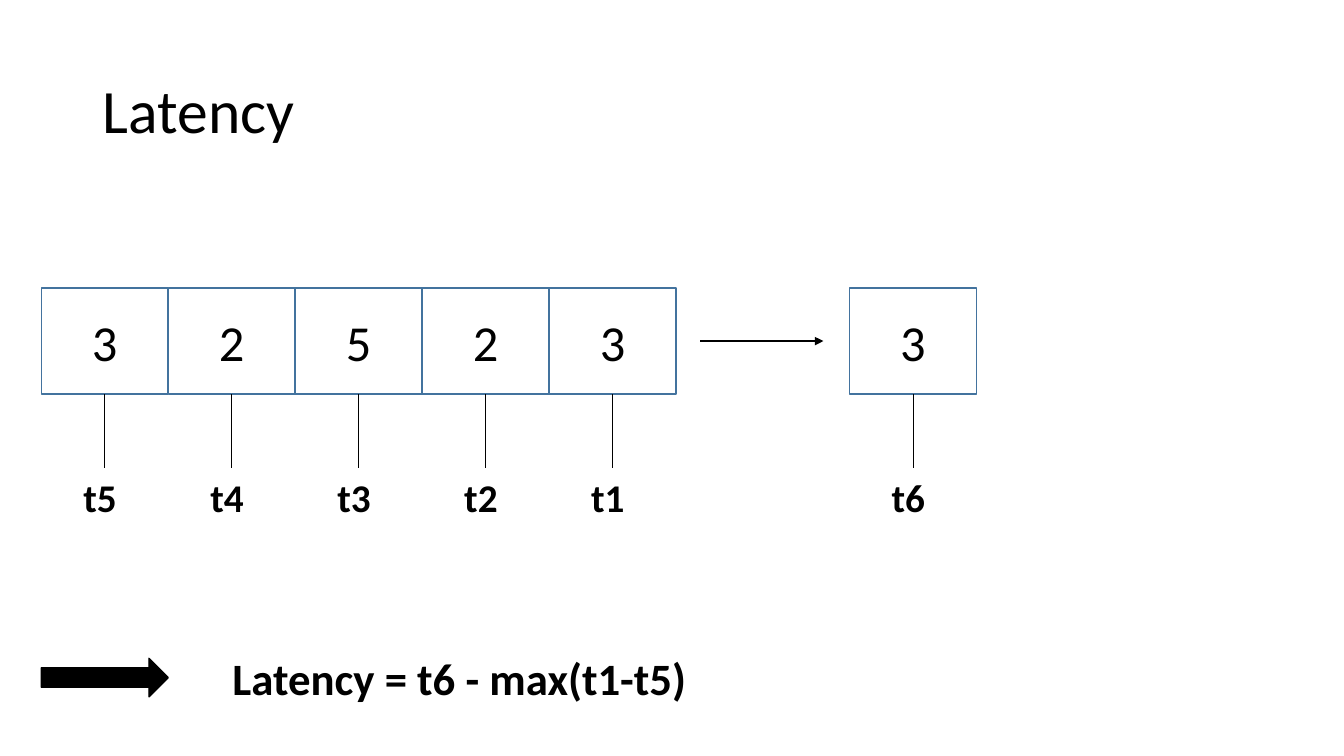
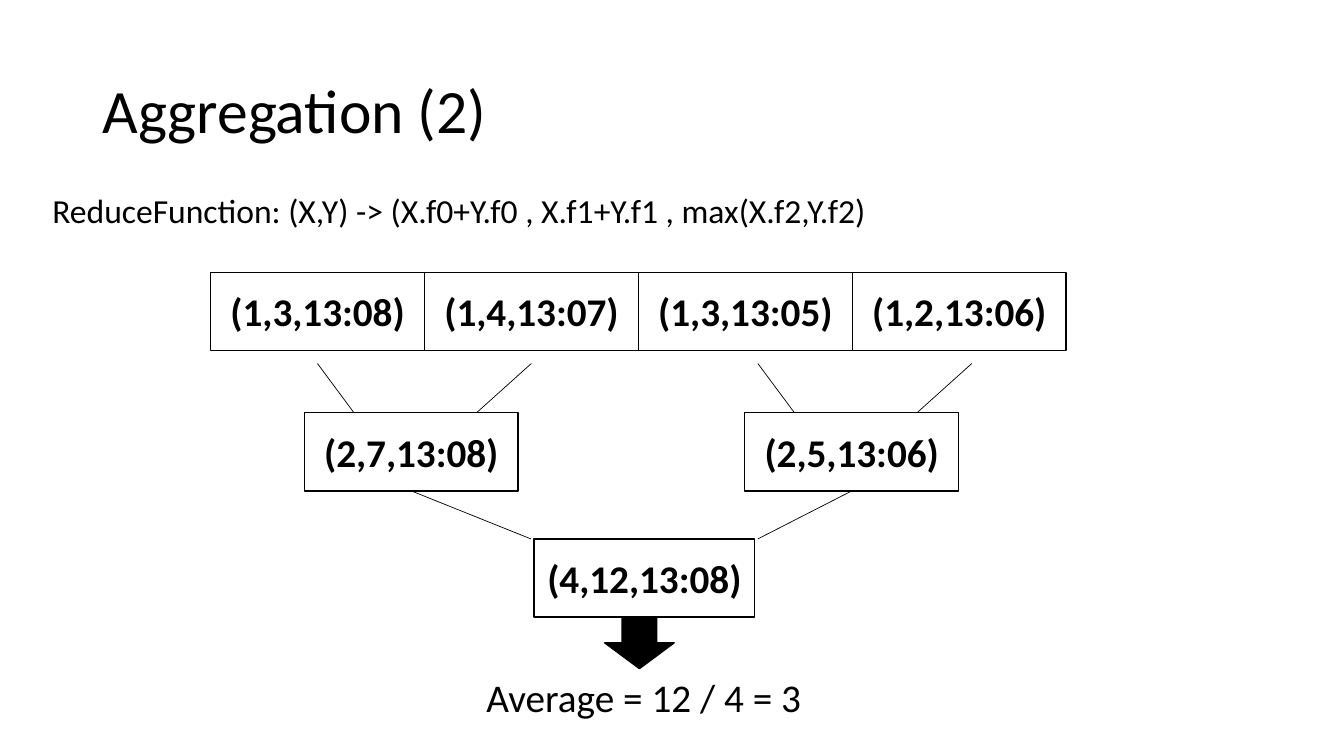
from lxml.etree import SubElement as Sub
from pptx import Presentation
from pptx.dml.color import RGBColor as Rgb
from pptx.enum.shapes import MSO_CONNECTOR as Conn, MSO_SHAPE as Kind
from pptx.enum.text import MSO_ANCHOR as Anchor, PP_ALIGN as Align
from pptx.oxml.ns import qn
from pptx.util import Cm, Pt

INK = "000000"
EDGE = "43739E"
FONT = "Calibri"
TITLE = (2.34, 1.02, 29.21, 3.68)
TOP, LEFT, BOTTOM = 0, 1, 2


def tint(code):
    """Turn a hex string into a colour."""
    return Rgb.from_string(code)


def style(item, **looks):
    """Set each named attribute of an object."""
    for name, value in looks.items():
        setattr(item, name, value)


def write(shape, text, size, bold=False, align=Align.LEFT, anchor=Anchor.TOP, wrap=True, space=1.0):
    """Put one formatted paragraph into a shape."""
    frame = shape.text_frame
    style(frame, word_wrap=wrap, vertical_anchor=anchor)
    para = frame.paragraphs[0]
    style(para, alignment=align, line_spacing=space)
    run = para.add_run()
    run.text = text
    style(run.font, name=FONT, size=Pt(size), bold=bold)
    run.font.color.rgb = tint(INK)


def label(slide, box, text, size, **looks):
    """Add a text box."""
    write(slide.shapes.add_textbox(*map(Cm, box)), text, size, **looks)


def shape(slide, kind, box, edge=INK, fill=None):
    """Add a preset shape with a thin outline."""
    item = slide.shapes.add_shape(kind, *map(Cm, box))
    item.shadow.inherit = False
    if fill:
        item.fill.solid()
        item.fill.fore_color.rgb = tint(fill)
    else:
        item.fill.background()
    item.line.width = Pt(1)
    item.line.color.rgb = tint(edge)
    return item


def cell(slide, box, text, size, edge=INK, bold=False):
    """Add an outlined box with centred text."""
    item = shape(slide, Kind.RECTANGLE, box, edge)
    write(item, text, size, bold, Align.CENTER, Anchor.MIDDLE, wrap=False)
    return item


def link(slide, start, end, width=0.5, head=False, source=None):
    """Draw a straight line, joined to the source's bottom if given."""
    line = slide.shapes.add_connector(Conn.STRAIGHT, *map(Cm, start + end))
    line.line.width = Pt(width)
    line.line.color.rgb = tint(INK)
    if head:
        Sub(line.line._get_or_add_ln(), qn("a:tailEnd"), type="triangle")
    Sub(line._element.spPr, qn("a:effectLst"))
    if source is not None:
        line.begin_connect(source, BOTTOM)


def page(deck, title):
    """Add a blank slide with its title."""
    slide = deck.slides.add_slide(deck.slide_layouts[6])
    label(slide, TITLE, title, 44, anchor=Anchor.MIDDLE, space=0.9)
    return slide


def event(slide, box, value, time):
    """Draw a value box with a stem down to its time."""
    left, top, width, height = box
    mid, low, foot = left + width / 2, top + height, top + 4.53
    item = cell(slide, box, value, 36, EDGE)
    link(slide, (mid, low), (mid, foot), source=item)
    label(slide, (mid - 0.79, foot, 1.57, 1.45), time, 28, bold=True)


def latency(deck):
    """Build the slide on latency."""
    slide = page(deck, "Latency")
    left, top, width, height = 1.04, 7.26, 3.2, 2.67
    for col, value in enumerate("32523"):
        event(slide, (left + col * width, top, width, height), value, f"t{5 - col}")
    event(slide, (21.41, top, width, height), "3", "t6")
    mid = top + height / 2
    link(slide, (17.65, mid), (20.75, mid), 2, head=True)
    shape(slide, Kind.RIGHT_ARROW, (left, 16.59, width, 0.97), fill=INK)
    label(slide, (5.61, 16.28, 13.59, 1.63), "Latency = t6 - max(t1-t5)", 32, bold=True)


def merge(slide, box, text, end):
    """Draw a merged box with two links in and one link out."""
    left, top, _, height = box
    for start, stop in ((0.33, 1.25), (5.72, 4.34)):
        link(slide, (left + start, top - 1.24), (left + stop, top))
    item = cell(slide, box, text, 28, bold=True)
    link(slide, (left, top + height), end, source=item)


def reduction(deck):
    """Build the slide on aggregation."""
    slide = page(deck, "Aggregation (2)")
    rule = "ReduceFunction: (X,Y) -> (X.f0+Y.f0 , X.f1+Y.f1 , max(X.f2,Y.f2)"
    label(slide, (1.07, 4.67, 24.61, 1.27), rule, 24)
    width, height = 5.39, 1.97
    leaves = ("(1,3,13:08)", "(1,4,13:07)", "(1,3,13:05)", "(1,2,13:06)")
    for col, text in enumerate(leaves):
        cell(slide, (5.31 + col * width, 6.86, width, height), text, 28, bold=True)
    left, top, span = 13.46, 13.58, 5.56
    merge(slide, (7.67, 10.4, width, height), "(2,7,13:08)", (left - 0.08, top))
    merge(slide, (18.77, 10.4, width, height), "(2,5,13:06)", (left + span + 0.08, top))
    cell(slide, (left, top, span, height), "(4,12,13:08)", 28, bold=True)
    shape(slide, Kind.DOWN_ARROW, (15.24, top + height, 1.75, 1.3), fill=INK)
    label(slide, (12.01, 16.84, 9.45, 1.45), "Average = 12 / 4 = 3", 28)


def main():
    """Build and save the deck."""
    deck = Presentation()
    style(deck, slide_width=Cm(33.87), slide_height=Cm(19.05))
    latency(deck)
    reduction(deck)
    deck.save("out.pptx")


if __name__ == "__main__":
    main()
